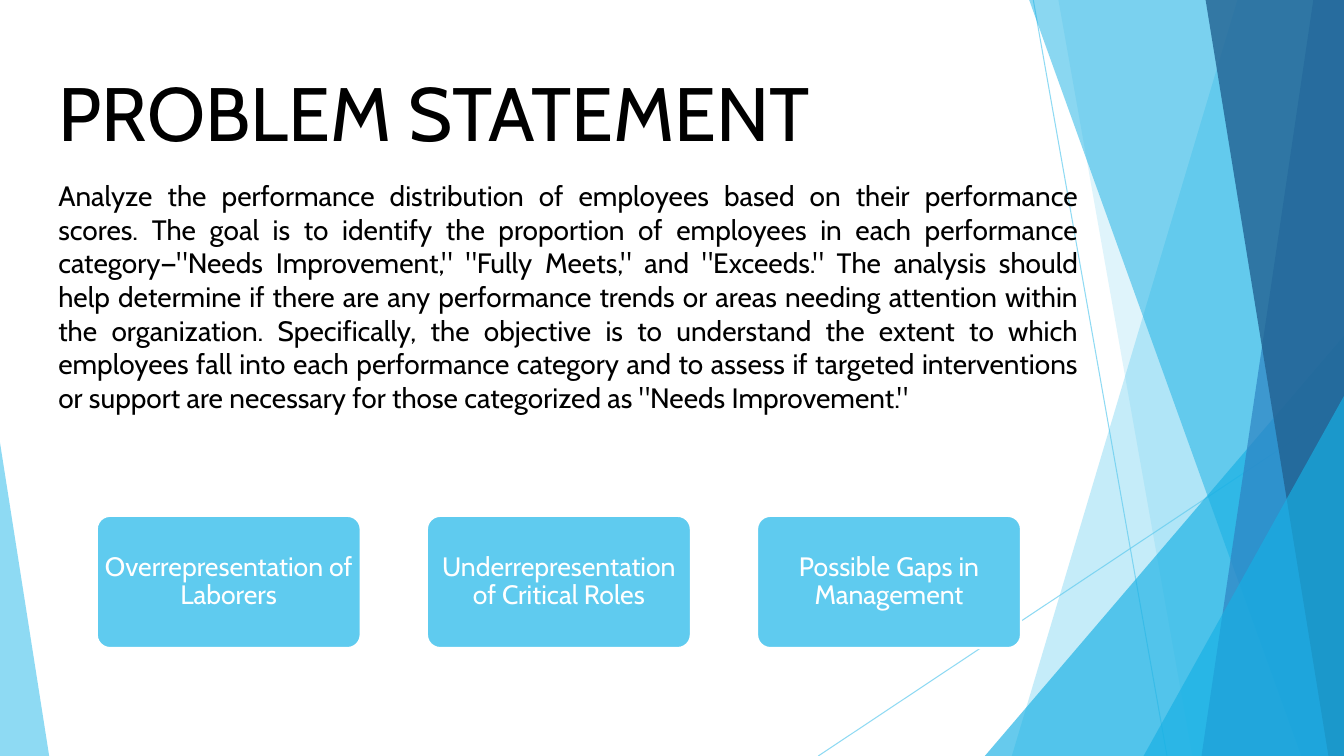
from pptx import Presentation
from pptx.dml.color import RGBColor
from pptx.enum.shapes import MSO_CONNECTOR, MSO_SHAPE
from pptx.enum.text import MSO_ANCHOR, MSO_AUTO_SIZE, PP_ALIGN
from pptx.oxml.ns import qn
from pptx.util import Cm, Pt
from lxml.etree import SubElement

WIDE, HIGH = 33.87, 19.05
SKY, CYAN, BLUE, NAVY = "5FCBEF", "17B0E4", "2E83C3", "226292"
BODY = (
    "Analyze the performance distribution of employees based on their "
    "performance scores. The goal is to identify the proportion of employees "
    'in each performance category—"Needs Improvement," "Fully Meets," and '
    '"Exceeds." The analysis should help determine if there are any '
    "performance trends or areas needing attention within the organization. "
    "Specifically, the objective is to understand the extent to which "
    "employees fall into each performance category and to assess if targeted "
    "interventions or support are necessary for those categorized as "
    '"Needs Improvement."'
)
CARDS = [
    "Overrepresentation of Laborers",
    "Underrepresentation of Critical Roles",
    "Possible Gaps in Management",
]


def color(text):
    return RGBColor.from_string(text)


def fade(shape, alpha):
    """Set the opacity, in percent, of the colour of a shape or line."""
    for node in shape.element.spPr.iter(qn("a:srgbClr")):
        SubElement(node, qn("a:alpha"), val=str(alpha * 1000))


def paint(shape, fill, alpha=100):
    shape.shadow.inherit = False
    shape.fill.solid()
    shape.fill.fore_color.rgb = color(fill)
    shape.line.fill.background()
    if alpha < 100:
        fade(shape, alpha)


def write(shape, text, size, ink="000000", align=PP_ALIGN.LEFT,
          anchor=MSO_ANCHOR.TOP, space=1.0, inset=(0.25, 0.13)):
    frame = shape.text_frame
    frame.word_wrap = True
    frame.auto_size = MSO_AUTO_SIZE.NONE
    frame.vertical_anchor = anchor
    frame.margin_left = frame.margin_right = Cm(inset[0])
    frame.margin_top = frame.margin_bottom = Cm(inset[1])
    para = frame.paragraphs[0]
    para.alignment, para.line_spacing = align, space
    run = para.add_run()
    run.text = text
    run.font.name, run.font.size = "Cabin", Pt(size)
    run.font.color.rgb = color(ink)


def add_line(shapes, *ends):
    line = shapes.add_connector(MSO_CONNECTOR.STRAIGHT, *map(Cm, ends))
    line.line.color.rgb = color(SKY)
    line.line.width = Pt(0.75)
    fade(line, 70)
    SubElement(line.element.spPr, qn("a:effectLst"))


def add_band(shapes, top, base, fill, alpha):
    """Draw a full-height band from a slanted left side to the right edge."""
    dots = [(WIDE, -0.02), (WIDE, HIGH), (base, HIGH)]
    build = shapes.build_freeform(Cm(top), Cm(-0.02))
    build.add_line_segments([(Cm(x), Cm(y)) for x, y in dots], close=True)
    paint(build.convert_to_shape(), fill, alpha)


def add_peak(shapes, left, width, height, tip, fill, alpha):
    """Draw a triangle that stands on the bottom edge."""
    box = map(Cm, (left, HIGH - height, width, height))
    peak = shapes.add_shape(MSO_SHAPE.ISOSCELES_TRIANGLE, *box)
    peak.adjustments[0] = tip
    paint(peak, fill, alpha)


def add_card(shapes, left, text):
    box = map(Cm, (left, 13, 6.65, 3.33))
    card = shapes.add_shape(MSO_SHAPE.ROUNDED_RECTANGLE, *box)
    card.adjustments[0] = 0.1
    paint(card, SKY)
    card.line.color.rgb = color("FFFFFF")
    card.line.width = Pt(1.5)
    write(card, text, 19, ink="FFFFFF", align=PP_ALIGN.CENTER,
          anchor=MSO_ANCHOR.MIDDLE, space=0.9, inset=(0.1, 0.08))


def main():
    deck = Presentation()
    deck.slide_width, deck.slide_height = Cm(WIDE), Cm(HIGH)
    slide = deck.slides.add_slide(deck.slide_layouts[5])
    shapes = slide.shapes

    # Backdrop of lines, bands and triangles
    add_line(shapes, 26.04, 0, 29.41, HIGH)
    add_line(shapes, WIDE, 10.24, 20.62, HIGH)
    add_band(shapes, 31.19, 25.5, SKY, 36)
    add_band(shapes, 26.67, 30.05, SKY, 20)
    add_peak(shapes, 24.82, 9.05, 10.59, 1, CYAN, 66)
    add_band(shapes, 25.93, 32.79, CYAN, 50)
    add_band(shapes, 33.1, 30.28, BLUE, 70)
    add_band(shapes, 30.38, 33.48, NAVY, 80)
    add_peak(shapes, 28.82, 5.05, 9.07, 1, CYAN, 66)
    add_peak(shapes, 0, 1.24, 7.9, 0, SKY, 70)

    # Title, in front of the backdrop
    title = shapes.title
    title.left, title.top = Cm(1.22), Cm(1.7)
    title.width, title.height = Cm(23.88), Cm(2.39)
    write(title, "PROBLEM STATEMENT", 54, anchor=MSO_ANCHOR.BOTTOM)
    shapes.element.append(title.element)

    # Statement
    body = shapes.add_textbox(Cm(1.22), Cm(4.37), Cm(26.21), Cm(7.09))
    write(body, BODY, 20, align=PP_ALIGN.JUSTIFY)

    # Row of cards
    for i, text in enumerate(CARDS):
        add_card(shapes, 2.44 + 8.32 * i, text)

    deck.save("out.pptx")


if __name__ == "__main__":
    main()
